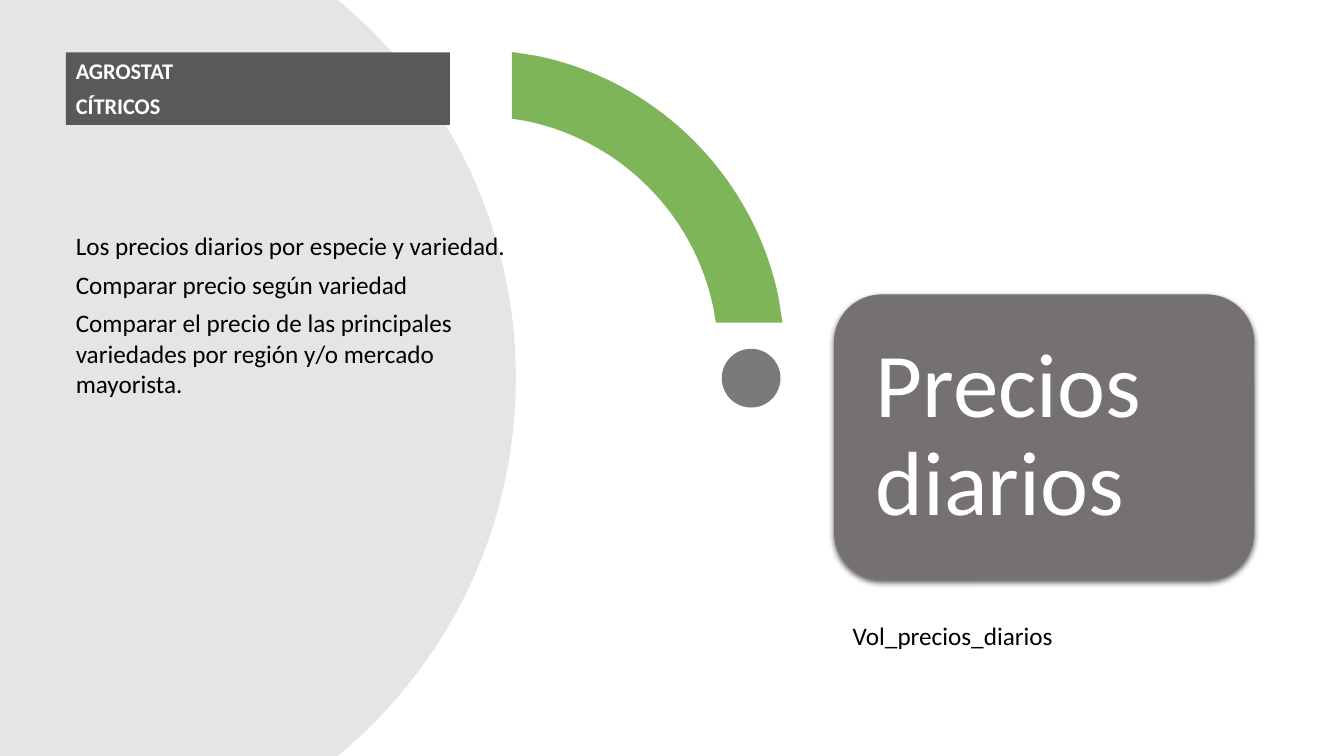
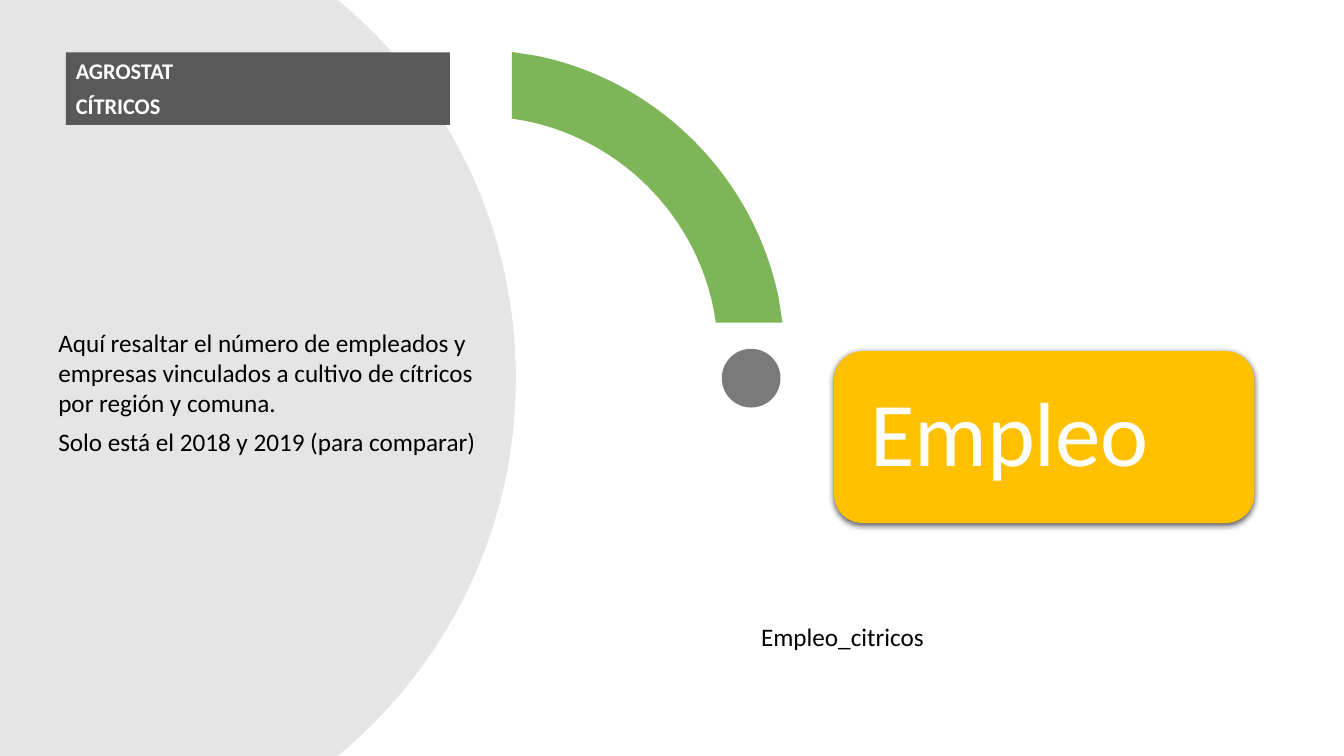
from lxml.etree import SubElement
from pptx import Presentation
from pptx.dml.color import RGBColor
from pptx.enum.shapes import MSO_SHAPE
from pptx.enum.text import MSO_ANCHOR, MSO_AUTO_SIZE, PP_ALIGN
from pptx.oxml.ns import qn
from pptx.util import Cm, Pt

WIDE, HIGH = 33.87, 19.05
FONT = "Calibri"
BLACK, WHITE = "000000", "FFFFFF"
PALE, GREEN, DARK = "808080", "70AD47", "595959"
GREY, GOLD = "767171", "FFC000"
BAND = ("AGROSTAT", "CÍTRICOS")

# Boxes are left, top, width and height in centimetres.
SLIDES = [
    dict(
        title="Precios diarios",
        color=GREY,
        box=(21.02, 7.42, 10.59, 7.19),
        notes=(
            "Los precios diarios por especie y variedad.",
            "Comparar precio según variedad",
            "Comparar el precio de las principales variedades por región y/o mercado mayorista.",
        ),
        area=(1.66, 5.68, 11.79, 5.51),
        source="Vol_precios_diarios",
        foot=(21.24, 15.5, 9.02, 1.03),
    ),
    dict(
        title="Empleo",
        color=GOLD,
        box=(21.02, 8.85, 10.59, 4.33),
        notes=(
            "Aquí resaltar el número de empleados y empresas vinculados a cultivo "
            "de cítricos por región y comuna.",
            "Solo está el 2018 y 2019 (para comparar)",
        ),
        area=(1.22, 8.12, 11.79, 3.56),
        source="Empleo_citricos",
        foot=(18.93, 15.52, 16.94, 1.03),
    ),
]


def rgb(color):
    return RGBColor.from_string(color)


def paint(shape, color, alpha=100):
    """Fill a shape without outline; alpha is the opacity in percent."""
    shape.fill.solid()
    shape.fill.fore_color.rgb = rgb(color)
    shape.line.fill.background()
    if alpha < 100:
        tone = shape.fill._xPr.find(".//" + qn("a:srgbClr"))
        SubElement(tone, qn("a:alpha"), val=str(alpha * 1000))


def shade(shape):
    """Add a soft shadow straight below a shape."""
    shape.shadow.inherit = False
    glow = shape._element.spPr.find(qn("a:effectLst"))
    drop = SubElement(glow, qn("a:outerShdw"), blurRad=str(Pt(4.5)), dist=str(Pt(1.5)),
                      dir="5400000", algn="ctr", rotWithShape="0")
    tone = SubElement(drop, qn("a:srgbClr"), val=BLACK)
    SubElement(tone, qn("a:alpha"), val="63000")


def style(frame, size, color, bold=False, after=0):
    frame.word_wrap = True
    for para in frame.paragraphs:
        para.alignment = PP_ALIGN.LEFT
        para.space_after = Pt(after)
        for run in para.runs:
            font = run.font
            font.name, font.size, font.bold = FONT, Pt(size), bold
            font.color.rgb = rgb(color)


def write(slide, box, lines, size=18, color=BLACK, **look):
    area = slide.shapes.add_textbox(*map(Cm, box))
    frame = area.text_frame
    frame.text = "\n".join(lines)
    frame.auto_size = MSO_AUTO_SIZE.SHAPE_TO_FIT_TEXT
    style(frame, size, color, **look)
    return area


def bend(shape, starts):
    """Turn the three lines from each start index into one Bézier curve."""
    lines = list(shape._element.iter(qn("a:lnTo")))
    for start in starts:
        trio = lines[start - 1:start + 2]
        curve = trio[0].makeelement(qn("a:cubicBezTo"))
        trio[0].addprevious(curve)
        for line in trio:
            curve.append(line[0])
            line.getparent().remove(line)


def outline(slide, left, top, points, curves, color, alpha):
    first, *rest = [(Cm(left + x), Cm(top + y)) for x, y in points]
    pen = slide.shapes.build_freeform(*first)
    pen.add_line_segments(rest, close=True)
    shape = pen.convert_to_shape()
    bend(shape, curves)
    shape.shadow.inherit = False
    paint(shape, color, alpha)


def disc(slide, left, top, width, height):
    """Draw a panel with a bowed right side, its lower half mirrored."""
    upper = [(0, 0), (width - 4.49, 0), (width - 1.75, 2.26), (width, 5.69)]
    lower = [(x, height - y) for x, y in reversed(upper)]
    points = [*upper, (width, height / 2), *lower]
    outline(slide, left, top, points, (2, 5), PALE, 20)


def ring(slide, left, top, size):
    """Draw a quarter ring, each edge mirrored across the box diagonal."""
    def edge(half):
        return half + [(size - y, size - x) for x, y in reversed(half)]

    outer = edge([(0, 0), (0.64, 0.1), (3.68, 0.73)])
    inner = edge([(0, 1.68), (0.31, 1.73), (2.72, 2.2)])
    outline(slide, left, top, outer + inner[::-1], (2, 8), GREEN, 90)


def dot(slide, left, top, size):
    shape = slide.shapes.add_shape(MSO_SHAPE.OVAL, *map(Cm, (left, top, size, size)))
    shape.shadow.inherit = False
    paint(shape, DARK, 80)


def card(slide, box, text, color):
    """Draw the rounded card and set the slide title inside it."""
    left, top, width, height = box
    panel = slide.shapes.add_shape(MSO_SHAPE.ROUNDED_RECTANGLE, *map(Cm, box))
    paint(panel, color)
    shade(panel)
    inset = height * 0.05
    title = slide.shapes.title
    title.left, title.top = Cm(left + inset), Cm(top + inset)
    title.width, title.height = Cm(width - 2 * inset), Cm(height - 2 * inset)
    frame = title.text_frame
    frame.text = text
    frame.auto_size = MSO_AUTO_SIZE.NONE
    frame.vertical_anchor = MSO_ANCHOR.MIDDLE
    frame.margin_left = frame.margin_right = Cm(0.69)
    frame.margin_top = frame.margin_bottom = Cm(0.69)
    style(frame, 65, WHITE)
    frame.paragraphs[0].line_spacing = 0.9
    panel._element.addnext(title._element)


def build(deck, title, color, box, notes, area, source, foot):
    slide = deck.slides.add_slide(deck.slide_layouts.get_by_name("Title Only"))
    disc(slide, 0, 0, 13, HIGH)
    ring(slide, 12.9, 1.31, 6.82)
    dot(slide, 18.19, 8.79, 1.48)
    write(slide, area, notes, after=6)
    card(slide, box, title, color)
    write(slide, foot, [source])
    band = write(slide, (1.66, 1.32, 9.68, 1.83), BAND, 16, WHITE, bold=True, after=6)
    paint(band, DARK)


def main():
    deck = Presentation()
    deck.slide_width, deck.slide_height = Cm(WIDE), Cm(HIGH)
    for page in SLIDES:
        build(deck, **page)
    deck.save("out.pptx")


if __name__ == "__main__":
    main()
